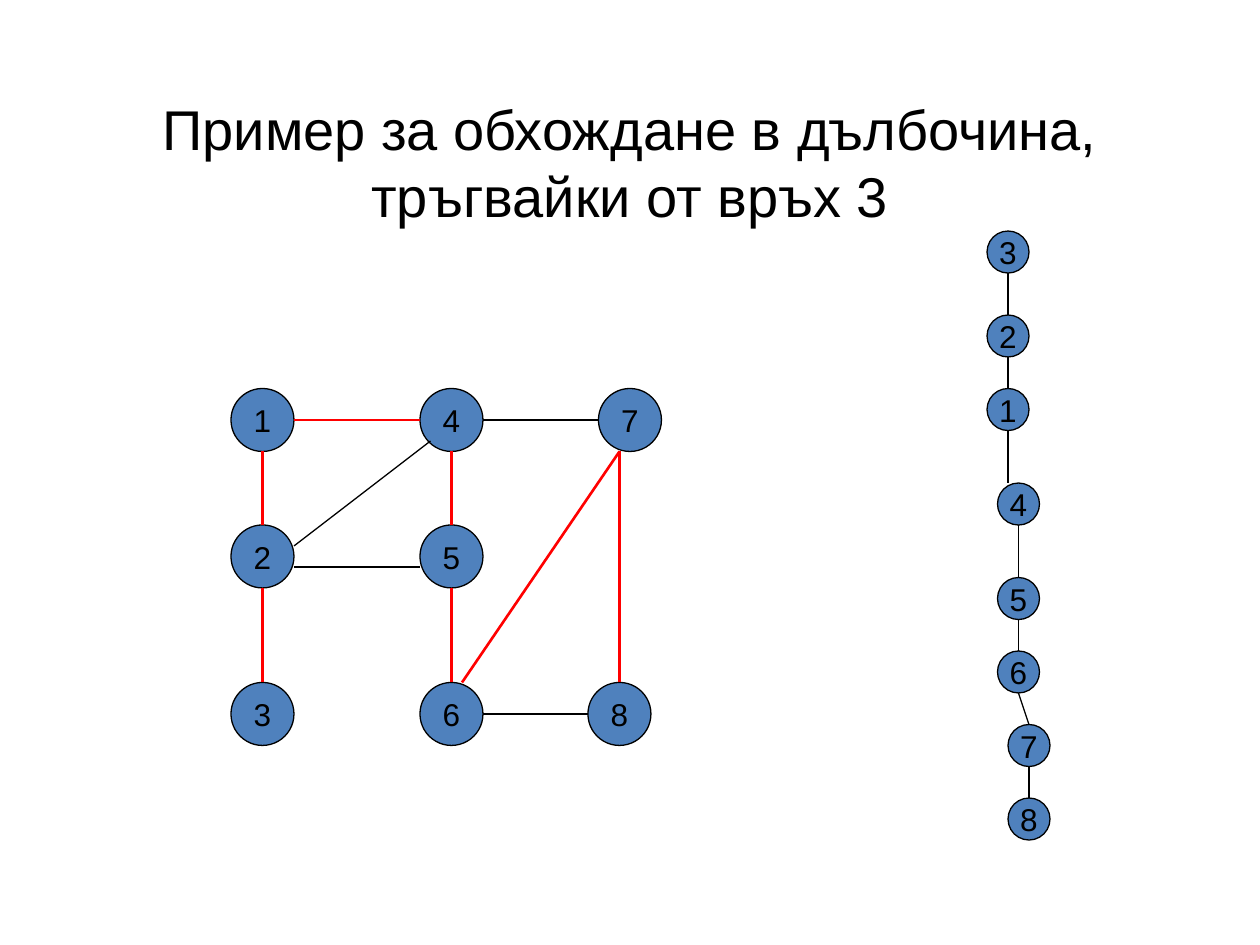
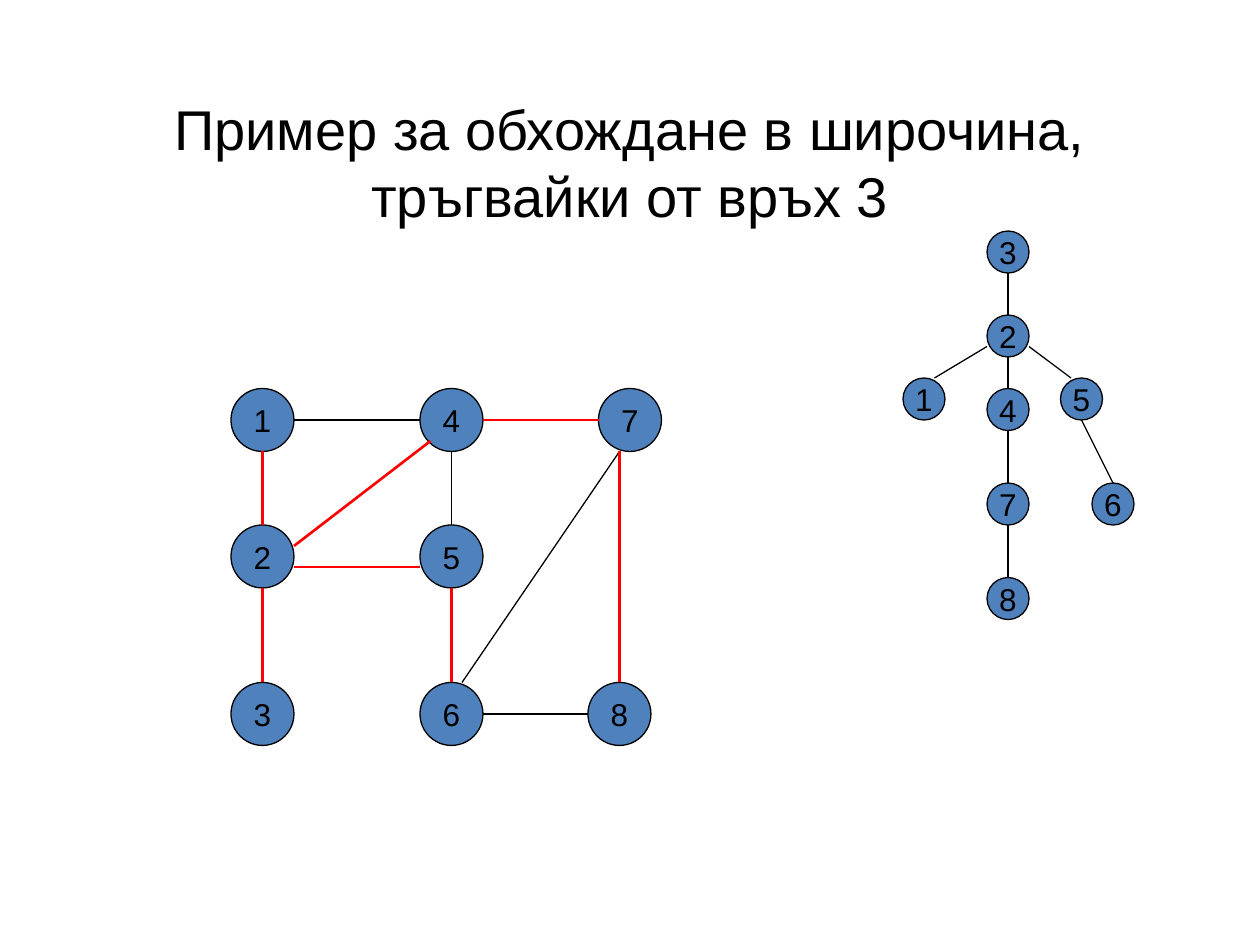
from dataclasses import dataclass

from lxml import etree
from pptx import Presentation
from pptx.dml.color import RGBColor
from pptx.enum.shapes import MSO_CONNECTOR, MSO_SHAPE
from pptx.enum.text import MSO_ANCHOR, MSO_AUTO_SIZE, PP_ALIGN
from pptx.oxml.ns import qn
from pptx.slide import Slide
from pptx.text.text import TextFrame
from pptx.util import Pt

STRAIGHT = MSO_CONNECTOR.STRAIGHT
ELLIPSE = MSO_SHAPE.OVAL
MIDDLE = MSO_ANCHOR.MIDDLE
GROW = MSO_AUTO_SIZE.SHAPE_TO_FIT_TEXT
CENTER = PP_ALIGN.CENTER

BLACK = RGBColor(0x00, 0x00, 0x00)
RED = RGBColor(0xFF, 0x00, 0x00)
BLUE = RGBColor(0x4F, 0x81, 0xBD)
FONT = "Arial"
TITLE_SIZE = 32
LABEL_SIZE = 18
THIN = 0.75
THICK = 1.5
GRAPH_RADIUS = 18
TREE_RADIUS = 12

Point = tuple[float, float]
Centers = dict[int, Point]

# Anchors are offsets from a vertex centre, in radii.
TOP: Point = (0, -1)
LEFT: Point = (-1, 0)
BOTTOM: Point = (0, 1)
RIGHT: Point = (1, 0)
THIRD = 1 / 3


@dataclass(frozen=True)
class Edge:
    start: int
    end: int
    start_anchor: Point = BOTTOM
    end_anchor: Point = TOP


@dataclass(frozen=True)
class Traversal:
    title: str
    visited: set[tuple[int, int]]
    tree_centers: Centers
    tree_edges: list[Edge]


GRAPH_CENTERS: Centers = {
    1: (150, 240), 4: (258, 240), 7: (360, 240),
    2: (150, 318), 5: (258, 318),
    3: (150, 408), 6: (258, 408), 8: (354, 408),
}
GRAPH_EDGES = [
    Edge(1, 2),
    Edge(2, 3),
    Edge(2, 4, (1, -THIRD), (-2 * THIRD, 2 * THIRD)),
    Edge(1, 4, RIGHT, LEFT),
    Edge(4, 5),
    Edge(5, 6),
    Edge(6, 7, (THIRD, -1), (-THIRD, 1)),
    Edge(7, 8, (-THIRD, 1)),
    Edge(6, 8, RIGHT, LEFT),
    Edge(4, 7, RIGHT, LEFT),
    Edge(2, 5, (1, THIRD), (-1, THIRD)),
]
TREE_ROOT: Centers = {3: (576, 144), 2: (576, 192)}

TRAVERSALS = [
    Traversal(
        "Пример за обхождане в дълбочина, тръгвайки от връх 3",
        {(1, 2), (2, 3), (1, 4), (4, 5), (5, 6), (6, 7), (7, 8)},
        TREE_ROOT | {
            1: (576, 234), 4: (582, 288), 5: (582, 342),
            6: (582, 384), 7: (588, 426), 8: (588, 468),
        },
        [
            Edge(3, 2), Edge(2, 1), Edge(1, 4, BOTTOM, (-0.5, -1)),
            Edge(4, 5), Edge(5, 6), Edge(6, 7), Edge(7, 8),
        ],
    ),
    Traversal(
        "Пример за обхождане в широчина, тръгвайки от връх 3",
        {(1, 2), (2, 3), (2, 4), (5, 6), (7, 8), (4, 7), (2, 5)},
        TREE_ROOT | {
            1: (528, 228), 4: (576, 234), 5: (618, 228),
            6: (636, 288), 7: (576, 288), 8: (576, 342),
        },
        [
            Edge(3, 2), Edge(2, 4), Edge(4, 7), Edge(7, 8),
            Edge(2, 1, (-1, 0.5), (0.5, -1)),
            Edge(2, 5, (1, 0.5), (-0.5, -1)),
            Edge(5, 6),
        ],
    ),
]


def write_centered(text_frame: TextFrame, text: str, size: float) -> None:
    text_frame.text = text
    paragraph = text_frame.paragraphs[0]
    paragraph.alignment = CENTER
    font = paragraph.runs[0].font
    font.name = FONT
    font.size = Pt(size)
    font.color.rgb = BLACK


def add_title(slide: Slide, title: str) -> None:
    text_box = slide.shapes.add_textbox(Pt(24), Pt(50.4), Pt(672), Pt(84))
    text_frame = text_box.text_frame
    text_frame.word_wrap = True
    text_frame.auto_size = GROW
    write_centered(text_frame, title, TITLE_SIZE)


def add_vertex(slide: Slide, number: int, center: Point, radius: float) -> None:
    x, y = center
    shape = slide.shapes.add_shape(
        ELLIPSE, Pt(x - radius), Pt(y - radius), Pt(2 * radius), Pt(2 * radius)
    )
    shape.shadow.inherit = False
    shape.fill.solid()
    shape.fill.fore_color.rgb = BLUE
    shape.line.color.rgb = BLACK
    shape.line.width = Pt(THIN)
    shape.text_frame.word_wrap = False
    shape.text_frame.vertical_anchor = MIDDLE
    write_centered(shape.text_frame, str(number), LABEL_SIZE)


def anchor_point(center: Point, anchor: Point, radius: float) -> Point:
    return center[0] + anchor[0] * radius, center[1] + anchor[1] * radius


def add_edge(
    slide: Slide, edge: Edge, centers: Centers, radius: float, visited: bool
) -> None:
    start = anchor_point(centers[edge.start], edge.start_anchor, radius)
    end = anchor_point(centers[edge.end], edge.end_anchor, radius)
    connector = slide.shapes.add_connector(
        STRAIGHT, Pt(start[0]), Pt(start[1]), Pt(end[0]), Pt(end[1])
    )
    connector.line.color.rgb = RED if visited else BLACK
    connector.line.width = Pt(THICK if visited else THIN)
    etree.SubElement(connector._element.spPr, qn("a:effectLst"))


def add_graph(
    slide: Slide,
    centers: Centers,
    edges: list[Edge],
    radius: float,
    visited: set[tuple[int, int]],
) -> None:
    """Draw vertices and edges, with the visited edges highlighted."""
    for number, center in centers.items():
        add_vertex(slide, number, center, radius)
    for edge in edges:
        add_edge(slide, edge, centers, radius, (edge.start, edge.end) in visited)


def main() -> None:
    presentation = Presentation()
    presentation.slide_width = Pt(720)
    presentation.slide_height = Pt(540)
    blank_layout = presentation.slide_layouts[6]
    for traversal in TRAVERSALS:
        slide = presentation.slides.add_slide(blank_layout)
        add_title(slide, traversal.title)
        add_graph(
            slide, GRAPH_CENTERS, GRAPH_EDGES, GRAPH_RADIUS, traversal.visited
        )
        add_graph(
            slide, traversal.tree_centers, traversal.tree_edges, TREE_RADIUS, set()
        )
    presentation.save("out.pptx")


if __name__ == "__main__":
    main()
